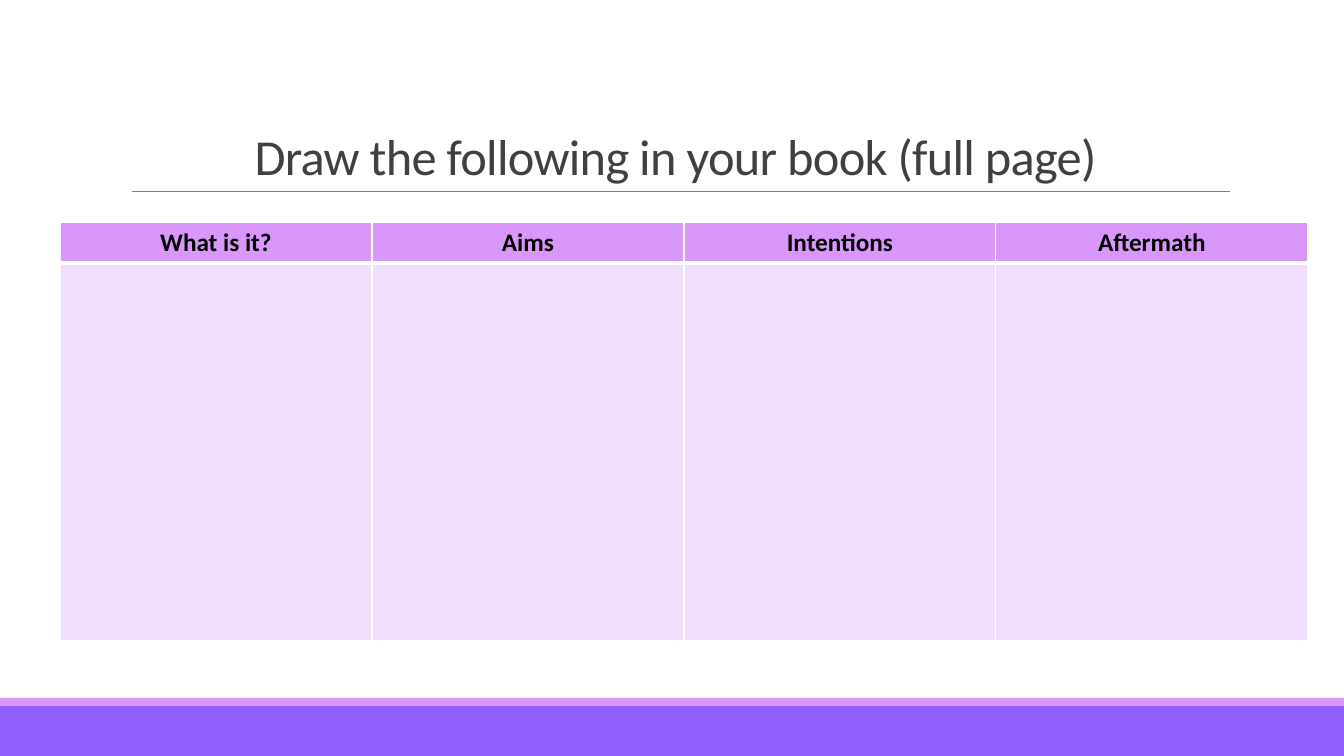
from lxml import etree
from pptx import Presentation
from pptx.dml.color import RGBColor
from pptx.enum.shapes import MSO_CONNECTOR, MSO_SHAPE
from pptx.enum.text import MSO_ANCHOR, PP_ALIGN
from pptx.oxml.ns import qn
from pptx.util import Emu, Pt

EMU_PER_PX = 12192000 / 1344
FONT = "Calibri"
WHITE = RGBColor(0xFF, 0xFF, 0xFF)
BLACK = RGBColor(0x00, 0x00, 0x00)
CHARCOAL = RGBColor(0x40, 0x40, 0x40)
GREY = RGBColor(0x80, 0x80, 0x80)
VIOLET = RGBColor(0x92, 0x5F, 0xFD)
ORCHID = RGBColor(0xDA, 0x97, 0xFB)
LILAC = RGBColor(0xF1, 0xDD, 0xFD)
HEADINGS = ["What is it?", "Aims", "Intentions", "Aftermath"]


def px(*lengths):
    return [Emu(round(length * EMU_PER_PX)) for length in lengths]


def write(frame, text, size, color, bold=False, line_spacing=None, tracking=None):
    """Put one centred paragraph in a text frame; tracking is in 1/100 pt."""
    para = frame.paragraphs[0]
    para.alignment = PP_ALIGN.CENTER
    if line_spacing:
        para.line_spacing = line_spacing
    span = para.add_run()
    span.text = text
    span.font.name = FONT
    span.font.size = Pt(size)
    span.font.bold = bold
    span.font.color.rgb = color
    if tracking:
        span.font._element.set("spc", str(tracking))


def add_band(page, top, height, color):
    band = page.shapes.add_shape(MSO_SHAPE.RECTANGLE, *px(0, top, 1344, height))
    band.shadow.inherit = False
    band.fill.solid()
    band.fill.fore_color.rgb = color
    band.line.fill.background()


def add_rule(page, left, right, y):
    rule = page.shapes.add_connector(MSO_CONNECTOR.STRAIGHT, *px(left, y, right, y))
    rule.line.color.rgb = GREY
    rule.line.width = Pt(0.5)
    etree.SubElement(rule._element.spPr, qn("a:effectLst"))


def add_title(page, text):
    title = page.shapes.title
    title.left, title.top, title.width, title.height = px(121, 31, 1109, 160)
    title.text_frame.word_wrap = True
    title.text_frame.vertical_anchor = MSO_ANCHOR.BOTTOM
    write(title.text_frame, text, 36, CHARCOAL, line_spacing=0.85, tracking=-50)


def style_cell(cell, color, **widths):
    """Fill a cell and give it white borders, with widths in points by side."""
    properties = cell._tc.get_or_add_tcPr()
    for side in ("L", "R", "T", "B"):
        border = etree.SubElement(properties, qn(f"a:ln{side}"), w=str(Pt(widths.get(side, 1))))
        fill = etree.SubElement(border, qn("a:solidFill"))
        etree.SubElement(fill, qn("a:srgbClr"), val=str(WHITE))
    cell.fill.solid()
    cell.fill.fore_color.rgb = color


def add_grid(page, headings, left, top, column_width, row_heights):
    width, height = column_width * len(headings), sum(row_heights)
    grid = page.shapes.add_table(
        len(row_heights), len(headings), *px(left, top, width, height)).table
    for row, row_height in zip(grid.rows, row_heights):
        row.height = px(row_height)[0]
    for index, heading in enumerate(headings):
        grid.columns[index].width = px(column_width)[0]
        header, body = grid.cell(0, index), grid.cell(1, index)
        style_cell(header, ORCHID, B=3)
        write(header.text_frame, heading, 18, BLACK, bold=True)
        style_cell(body, LILAC, T=3)


def main():
    deck = Presentation()
    deck.slide_width, deck.slide_height = px(1344, 756)
    page = deck.slides.add_slide(deck.slide_layouts[5])
    add_band(page, 706, 50, VIOLET)
    add_band(page, 698, 8, ORCHID)
    add_rule(page, 132, 1230, 191)
    add_title(page, "Draw the following in your book (full page)")
    add_grid(page, HEADINGS, 60, 222, 312, [41, 378])
    deck.save("out.pptx")


if __name__ == "__main__":
    main()
